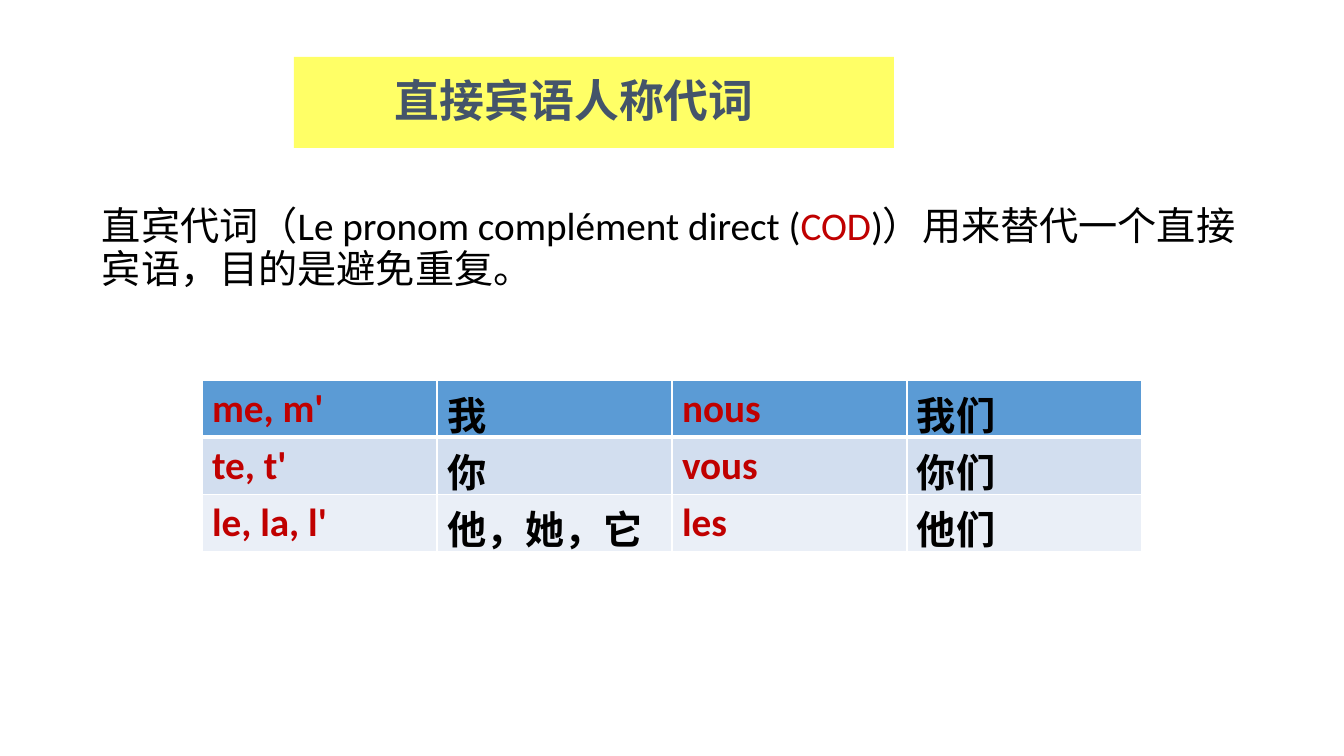
from typing import NamedTuple

import lxml.etree
import pptx
import pptx.dml.color
import pptx.enum.lang
import pptx.enum.shapes
import pptx.enum.text
import pptx.oxml.ns
import pptx.util

EMU_PER_INCH = 914400
PX_PER_INCH = 100.8
FONT = "Calibri"
COLORS = {
    "text": "000000",
    "title": "44546A",
    "title_fill": "FFFF66",
    "accent": "C00000",
    "header": "5B9BD5",
    "band_dark": "D2DEEF",
    "band_light": "EAEFF7",
    "border": "FFFFFF",
}


class PronounRow(NamedTuple):
    singular: str
    singular_meaning: str
    plural: str
    plural_meaning: str


PRONOUNS = [
    PronounRow("me, m'", "我", "nous", "我们"),
    PronounRow("te, t'", "你", "vous", "你们"),
    PronounRow("le, la, l'", "他，她，它", "les", "他们"),
]
ROW_FILLS = ["header", "band_dark", "band_light"]
COL_WIDTH, ROW_HEIGHT = 235, 54


def px(n: int) -> pptx.util.Emu:
    return pptx.util.Emu(round(n * EMU_PER_INCH / PX_PER_INCH))


def rgb(name: str) -> pptx.dml.color.RGBColor:
    return pptx.dml.color.RGBColor.from_string(COLORS[name])


def add_text(p, text: str, *, size: int = 28, color: str = "text", bold: bool = False) -> None:
    r = p.add_run()
    r.text = text
    r.font.name = FONT
    r.font.size = pptx.util.Pt(size)
    r.font.bold = bold
    r.font.color.rgb = rgb(color)
    r.font.language_id = pptx.enum.lang.MSO_LANGUAGE_ID.SIMPLIFIED_CHINESE


def add_border(cell, side: str, width: int) -> None:
    """Draw one side (L, R, T or B) of a cell, width in points; call before filling."""
    qn = pptx.oxml.ns.qn
    tc_pr = cell._tc.get_or_add_tcPr()
    ln = lxml.etree.SubElement(tc_pr, qn(f"a:ln{side}"), w=str(pptx.util.Pt(width)))
    fill = lxml.etree.SubElement(ln, qn("a:solidFill"))
    lxml.etree.SubElement(fill, qn("a:srgbClr"), val=COLORS["border"])


def add_title(slide) -> None:
    sp = slide.shapes.add_shape(
        pptx.enum.shapes.MSO_SHAPE.RECTANGLE, px(294), px(57), px(600), px(91))
    sp.shadow.inherit = False
    sp.fill.solid()
    sp.fill.fore_color.rgb = rgb("title_fill")
    sp.line.fill.background()
    tf = sp.text_frame
    tf.word_wrap = True
    tf.margin_left = px(101)
    tf.vertical_anchor = pptx.enum.text.MSO_ANCHOR.MIDDLE
    p = tf.paragraphs[0]
    p.alignment = pptx.enum.text.PP_ALIGN.LEFT
    p.line_spacing = 0.9
    add_text(p, "直接宾语人称代词", size=32, color="title", bold=True)


def add_definition(slide) -> None:
    tf = slide.shapes.add_textbox(px(92), px(202), px(1159), px(150)).text_frame
    tf.word_wrap = True
    p = tf.paragraphs[0]
    p.line_spacing = 0.9
    add_text(p, "直宾代词（Le pronom complément direct (")
    add_text(p, "COD", color="accent")
    add_text(p, ")）用来替代一个直接宾语，目的是避免重复。")


def add_pronoun_table(slide) -> None:
    n_rows, n_cols = len(PRONOUNS), len(PronounRow._fields)
    table = slide.shapes.add_table(
        n_rows, n_cols, px(202), px(380),
        px(n_cols * COL_WIDTH), px(n_rows * ROW_HEIGHT)).table
    for i, (pronouns, fill) in enumerate(zip(PRONOUNS, ROW_FILLS)):
        for j, text in enumerate(pronouns):
            cell = table.cell(i, j)
            widths = {"L": 1, "R": 1, "T": 3 if i == 1 else 1, "B": 3 if i == 0 else 1}
            for side, width in widths.items():
                add_border(cell, side, width)
            cell.fill.solid()
            cell.fill.fore_color.rgb = rgb(fill)
            color = "accent" if j % 2 == 0 else "text"
            add_text(cell.text_frame.paragraphs[0], text, color=color, bold=True)


def main() -> None:
    prs = pptx.Presentation()
    prs.slide_width, prs.slide_height = px(1344), px(756)
    slide = prs.slides.add_slide(prs.slide_layouts[6])
    add_title(slide)
    add_definition(slide)
    add_pronoun_table(slide)
    prs.save("out.pptx")


if __name__ == "__main__":
    main()
